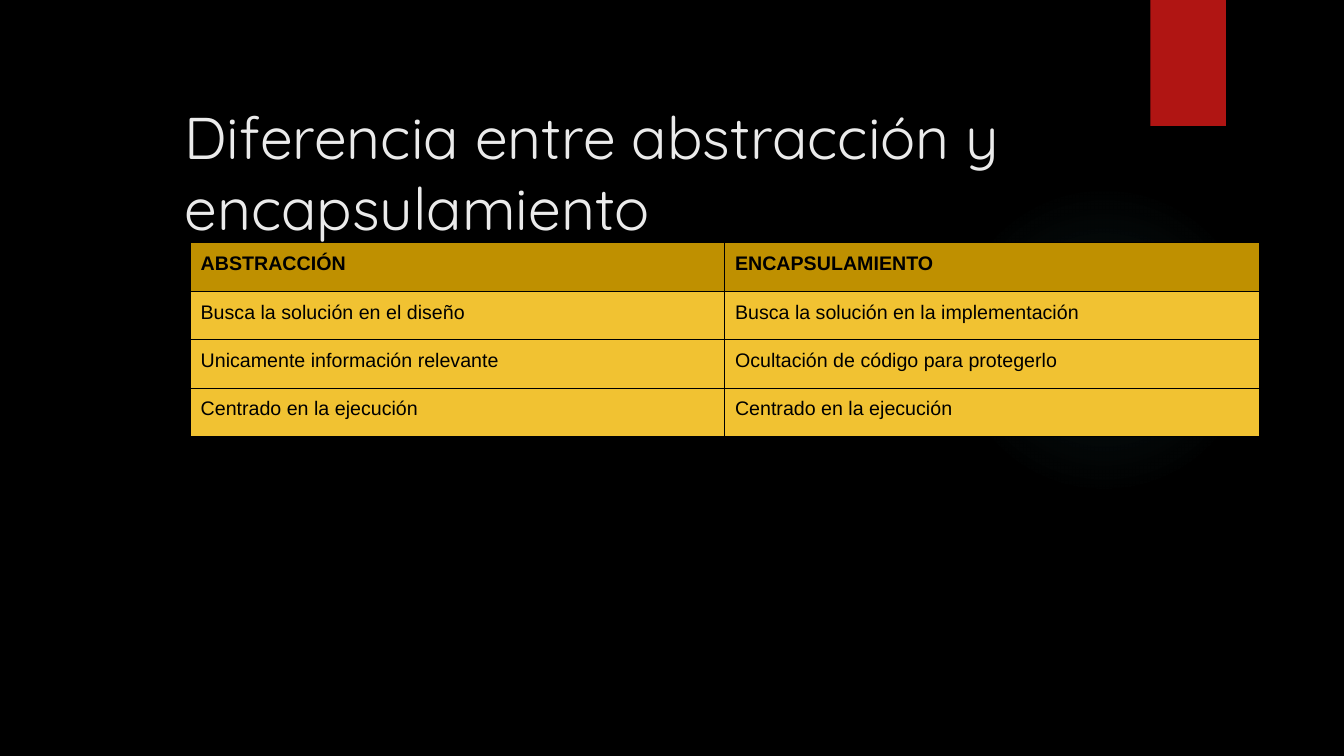
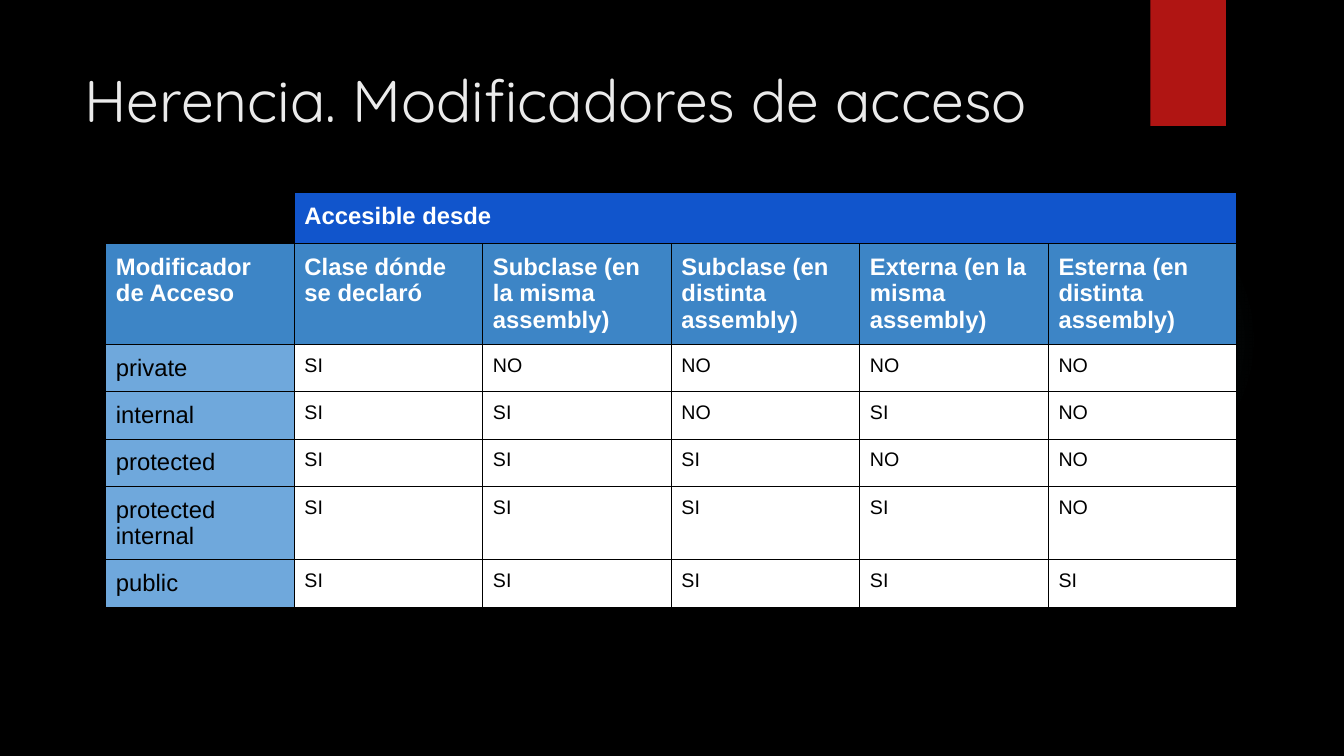
import pptx
import pptx.dml.color
import pptx.enum.shapes
import pptx.enum.text
import pptx.oxml
import pptx.oxml.ns
import pptx.util

Inches = pptx.util.Inches
Pt = pptx.util.Pt
RGBColor = pptx.dml.color.RGBColor
qn = pptx.oxml.ns.qn

# Colours
BLACK = RGBColor(0x00, 0x00, 0x00)
WHITE = RGBColor(0xFF, 0xFF, 0xFF)
TITLE_GREY = RGBColor(0xEB, 0xEB, 0xEB)
RIBBON_RED = RGBColor(0xB0, 0x15, 0x13)
GLOW_TEAL = RGBColor(0x50, 0xB9, 0xC1)
DARK_GOLD = RGBColor(0xBF, 0x90, 0x00)
GOLD = RGBColor(0xF1, 0xC2, 0x32)
DEEP_BLUE = RGBColor(0x11, 0x55, 0xCC)
MID_BLUE = RGBColor(0x3D, 0x85, 0xC6)
LIGHT_BLUE = RGBColor(0x6F, 0xA8, 0xDC)

TITLE_FONT = "Quicksand"
TABLE_FONT = "Arial"
TITLE_INSET = 0.13
CELL_INSET = 0.1
GLOW_STOPS = [(0, 7), (36, 6), (69, 0)]  # position and opacity, in percent
NS = pptx.oxml.ns.nsdecls("a")

# Kinds of cell: fill, text colour, size, bold
GOLD_HEAD = (DARK_GOLD, BLACK, 14, True)
GOLD_BODY = (GOLD, BLACK, 14, False)
CORNER = (None, WHITE, 17, True)
GROUP_HEAD = (DEEP_BLUE, WHITE, 17, True)
COLUMN_HEAD = (MID_BLUE, WHITE, 17, True)
MODIFIER = (LIGHT_BLUE, BLACK, 17, False)
ANSWER = (WHITE, BLACK, 14, False)

CONCEPTS = [
    ["ABSTRACCIÓN", "ENCAPSULAMIENTO"],
    ["Busca la solución en el diseño", "Busca la solución en la implementación"],
    ["Unicamente información relevante", "Ocultación de código para protegerlo"],
    ["Centrado en la ejecución", "Centrado en la ejecución"],
]
ACCESS = [
    ["", "Accesible desde", "", "", "", ""],
    ["Modificador de Acceso", "Clase dónde se declaró",
     "Subclase (en la misma assembly)", "Subclase (en distinta assembly)",
     "Externa (en la misma assembly)", "Esterna (en distinta assembly)"],
    ["private", "SI", "NO", "NO", "NO", "NO"],
    ["internal", "SI", "SI", "NO", "SI", "NO"],
    ["protected", "SI", "SI", "SI", "NO", "NO"],
    ["protected internal", "SI", "SI", "SI", "SI", "NO"],
    ["public", "SI", "SI", "SI", "SI", "SI"],
]
ACCESS_HEIGHTS = [0.49, 1, 0.47, 0.47, 0.47, 0.73, 0.47]


def set_insets(holder, inset):
    holder.margin_left = holder.margin_right = Inches(inset)
    holder.margin_top = holder.margin_bottom = Inches(inset)


# Shared look: background, title style and decoration
def style_master(master):
    master.background.fill.solid()
    master.background.fill.fore_color.rgb = BLACK
    level = master.element.find(f".//{qn('p:titleStyle')}/{qn('a:lvl1pPr')}")
    level.set("algn", "l")
    level.replace(level.find(qn("a:defRPr")), pptx.oxml.parse_xml(
        f'<a:defRPr {NS} sz="4200"><a:solidFill><a:srgbClr val="{TITLE_GREY}"/>'
        f'</a:solidFill><a:latin typeface="{TITLE_FONT}"/></a:defRPr>'))


def add_decoration(slide, kind, left, top, width, height):
    """Draw a plain shape and move it behind everything on the layout."""
    decoration = slide.shapes.add_shape(
        kind, Inches(left), Inches(top), Inches(width), Inches(height))
    decoration.shadow.inherit = False
    decoration.line.fill.background()
    decoration.fill.solid()
    decoration.fill.fore_color.rgb = RIBBON_RED
    slide.slide_layout.shapes.element.insert(2, decoration.element)
    return decoration


def fill_with_glow(decoration):
    stops = "".join(
        f'<a:gs pos="{position * 1000}"><a:srgbClr val="{GLOW_TEAL}">'
        f'<a:alpha val="{opacity * 1000}"/></a:srgbClr></a:gs>'
        for position, opacity in GLOW_STOPS)
    properties = decoration.element.spPr
    properties.replace(properties.find(qn("a:solidFill")), pptx.oxml.parse_xml(
        f'<a:gradFill {NS}><a:gsLst>{stops}</a:gsLst><a:path path="circle">'
        '<a:fillToRect l="50000" t="50000" r="50000" b="50000"/>'
        '</a:path></a:gradFill>'))


def decorate_layout(slide):
    shapes = pptx.enum.shapes.MSO_SHAPE
    add_decoration(slide, shapes.RECTANGLE, 11.41, 0, 0.75, 1.25)
    fill_with_glow(add_decoration(slide, shapes.OVAL, 9.41, 1.83, 3.08, 3.08))


def set_title(slide, text, left, top, width, height):
    title = slide.shapes.title
    title.left, title.top = Inches(left), Inches(top)
    title.width, title.height = Inches(width), Inches(height)
    frame = title.text_frame
    set_insets(frame, TITLE_INSET)
    frame.word_wrap = True
    frame.auto_size = pptx.enum.text.MSO_AUTO_SIZE.NONE
    frame.vertical_anchor = pptx.enum.text.MSO_ANCHOR.TOP
    frame.paragraphs[0].add_run().text = text


# Tables
def add_borders(cell):
    properties = cell._tc.get_or_add_tcPr()
    for index, side in enumerate("LRTB"):
        properties.insert(index, pptx.oxml.parse_xml(
            f'<a:ln{side} {NS} w="{Pt(0.75)}"><a:solidFill>'
            f'<a:srgbClr val="{BLACK}"/></a:solidFill></a:ln{side}>'))


def fill_cell(cell, text, kind):
    fill, color, size, bold = kind
    set_insets(cell, CELL_INSET)
    if fill is None:
        cell.fill.background()
    else:
        cell.fill.solid()
        cell.fill.fore_color.rgb = fill
    add_borders(cell)
    if text:
        run = cell.text_frame.paragraphs[0].add_run()
        run.text = text
        run.font.name = TABLE_FONT
        run.font.size = Pt(size)
        run.font.bold = bold
        run.font.color.rgb = color


def add_grid(slide, rows, left, top, column_width, heights, kind_of):
    columns = len(rows[0])
    table = slide.shapes.add_table(
        len(rows), columns, Inches(left), Inches(top),
        Inches(column_width * columns), Inches(sum(heights))).table
    table.first_row = table.horz_banding = False
    for column in table.columns:
        column.width = Inches(column_width)
    for r, (texts, height) in enumerate(zip(rows, heights)):
        table.rows[r].height = Inches(height)
        for c, text in enumerate(texts):
            fill_cell(table.cell(r, c), text, kind_of(r, c))
    return table


def concept_kind(row, column):
    return GOLD_HEAD if row == 0 else GOLD_BODY


def access_kind(row, column):
    if row == 0:
        return GROUP_HEAD if column else CORNER
    if row == 1:
        return COLUMN_HEAD
    return ANSWER if column else MODIFIER


def main():
    deck = pptx.Presentation()
    deck.slide_width, deck.slide_height = Inches(13.33), Inches(7.5)
    style_master(deck.slide_master)
    title_only = deck.slide_layouts[5]

    # Abstraction against encapsulation
    concepts = deck.slides.add_slide(title_only)
    decorate_layout(concepts)
    set_title(concepts, "Diferencia entre abstracción y encapsulamiento",
              1.7, 0.87, 11.22, 1.33)
    add_grid(concepts, CONCEPTS, 1.89, 2.41, 5.3, [0.48] * len(CONCEPTS),
             concept_kind)

    # Access modifiers
    access = deck.slides.add_slide(title_only)
    set_title(access, "Herencia. Modificadores de acceso", 0.71, 0.5, 10.29, 1.53)
    modifiers = add_grid(access, ACCESS, 1.05, 1.91, 1.87, ACCESS_HEIGHTS,
                         access_kind)
    modifiers.cell(0, 1).merge(modifiers.cell(0, 5))

    deck.save("out.pptx")


if __name__ == "__main__":
    main()
